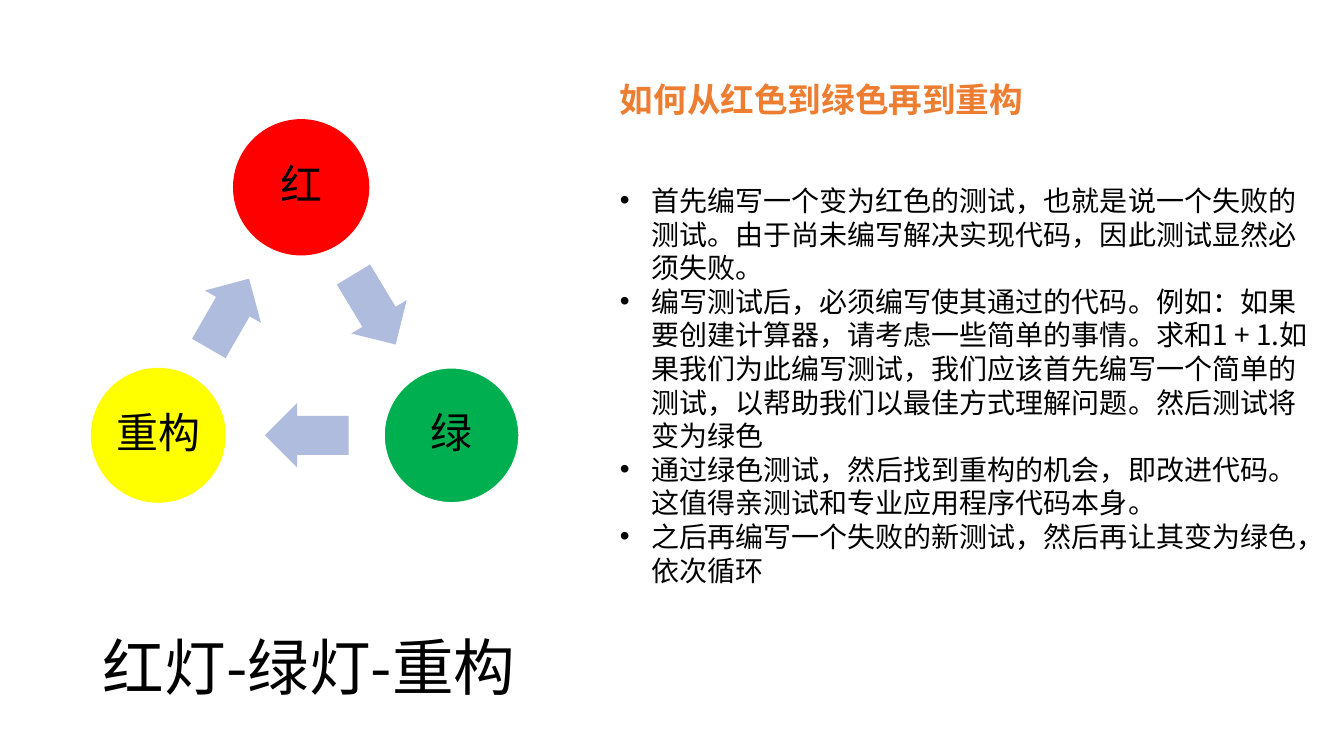
from lxml import etree
from pptx import Presentation
from pptx.dml.color import RGBColor
from pptx.enum import shapes, text
from pptx.oxml.ns import qn
from pptx.util import Cm, Pt

# Content
TITLE = "红灯-绿灯-重构"
HEADING = "如何从红色到绿色再到重构"
STEPS = [
    "首先编写一个变为红色的测试，也就是说一个失败的测试。由于尚未编写解决实现代码，因此测试显然必须失败。",
    "编写测试后，必须编写使其通过的代码。例如：如果要创建计算器，请考虑一些简单的事情。求和1 + 1."
    "如果我们为此编写测试，我们应该首先编写一个简单的测试，以帮助我们以最佳方式理解问题。然后测试将变为绿色",
    "通过绿色测试，然后找到重构的机会，即改进代码。这值得亲测试和专业应用程序代码本身。",
    "之后再编写一个失败的新测试，然后再让其变为绿色，依次循环",
]
COLORS = {
    "text": "000000", "heading": "ED7D31", "arrow": "B0BCDE", "white": "FFFFFF",
    "red": "FF0000", "green": "00B050", "yellow": "FFFF00",
}
FONT = "Noto Sans CJK SC"

# Cycle, in cm: label, centre x, centre y, fill, outline
STAGES = [
    ("红", 7.59, 4.72, "red", "red"),
    ("绿", 11.38, 10.97, "green", "white"),
    ("重构", 3.99, 10.97, "yellow", None),
]
# Centre x, centre y, length, rotation
ARROWS = [
    (9.44, 7.8, 2.06, 58.9),
    (7.73, 10.97, 2.11, 180),
    (5.77, 7.9, 2.03, 300),
]
DIAMETER = 3.4
ARROW_HEIGHT = 1.63


def rgb(name):
    return RGBColor.from_string(COLORS[name])


def format_paragraph(p, size, color="text", bold=False, align=text.PP_ALIGN.LEFT, spacing=0.9):
    p.alignment = align
    p.line_spacing = spacing
    p.space_before = p.space_after = Pt(0)
    p.font.size = Pt(size)
    p.font.bold = bold
    p.font.color.rgb = rgb(color)
    p.font.name = FONT
    latin = p.font._element.find(qn("a:latin"))
    east_asian = etree.Element(qn("a:ea"), typeface=FONT)
    latin.addnext(east_asian)


def set_bullet(p, char=None, indent=0):
    pPr = p._p.get_or_add_pPr()
    pPr.set("marL", str(Cm(indent)))
    pPr.set("indent", str(-Cm(indent)))
    if char:
        marks = [etree.Element(qn("a:buFont"), typeface="Arial"),
                 etree.Element(qn("a:buChar"), char=char)]
    else:
        marks = [etree.Element(qn("a:buNone"))]
    defaults = pPr.find(qn("a:defRPr"))
    for mark in marks:
        defaults.addprevious(mark)


def place(sp, left, top, width, height):
    sp.left, sp.top, sp.width, sp.height = Cm(left), Cm(top), Cm(width), Cm(height)


def add_centred(s, kind, x, y, width, height, fill, line=None):
    sp = s.shapes.add_shape(kind, Cm(x - width / 2), Cm(y - height / 2), Cm(width), Cm(height))
    sp.shadow.inherit = False
    sp.fill.solid()
    sp.fill.fore_color.rgb = rgb(fill)
    if line:
        sp.line.color.rgb = rgb(line)
        sp.line.width = Pt(1)
    else:
        sp.line.fill.background()
    return sp


prs = Presentation()
prs.slide_width, prs.slide_height = Cm(33.87), Cm(19.05)
s = prs.slides.add_slide(prs.slide_layouts[1])

# Title
title = s.shapes.title
place(title, 2.34, 15.37, 21.44, 3.05)
title.text_frame.text = TITLE
title.text_frame.auto_size = text.MSO_AUTO_SIZE.NONE
title.text_frame.vertical_anchor = text.MSO_ANCHOR.MIDDLE
format_paragraph(title.text_frame.paragraphs[0], 44)

# Heading and steps
body = s.placeholders[1]
place(body, 15.37, 1.87, 18.14, 13.5)
tf = body.text_frame
tf.text = "\n".join([HEADING] + STEPS)
tf.auto_size = text.MSO_AUTO_SIZE.NONE
tf.vertical_anchor = text.MSO_ANCHOR.TOP
heading, *steps = tf.paragraphs
format_paragraph(heading, 24, "heading", bold=True, spacing=Pt(28.8))
heading.space_after = Pt(45.6)
set_bullet(heading)
for p in steps:
    format_paragraph(p, 20, spacing=Pt(24))
    set_bullet(p, "•", 0.79)

# Cycle circles
for label, x, y, fill, line in STAGES:
    sp = add_centred(s, shapes.MSO_SHAPE.OVAL, x, y, DIAMETER, DIAMETER, fill, line)
    tf = sp.text_frame
    tf.text = label
    tf.word_wrap = False
    tf.vertical_anchor = text.MSO_ANCHOR.MIDDLE
    tf.margin_left = tf.margin_right = tf.margin_top = tf.margin_bottom = Cm(0.1)
    format_paragraph(tf.paragraphs[0], 30, align=text.PP_ALIGN.CENTER)

# Cycle arrows
for x, y, length, rotation in ARROWS:
    sp = add_centred(s, shapes.MSO_SHAPE.RIGHT_ARROW, x, y, length, ARROW_HEIGHT, "arrow")
    sp.adjustments[0], sp.adjustments[1] = 0.6, 0.5
    sp.rotation = rotation

prs.save("out.pptx")
